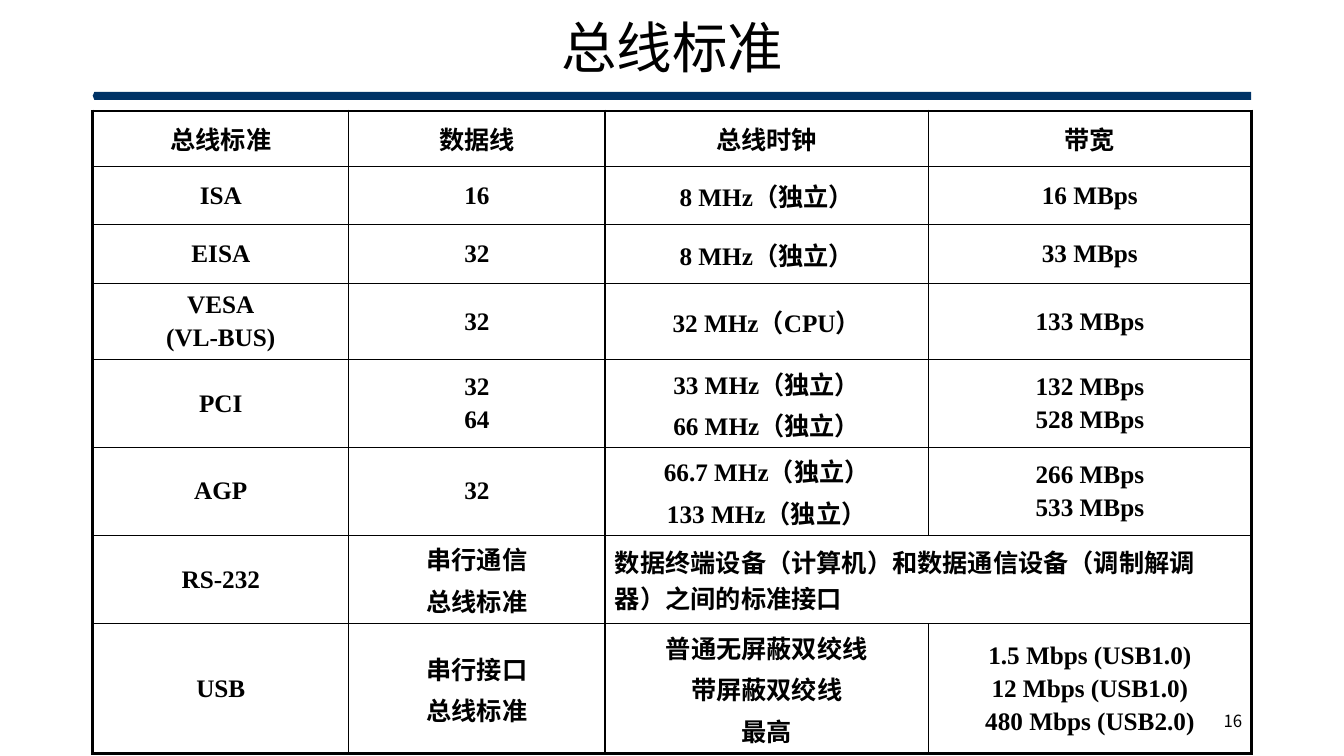
from lxml import etree
from pptx import Presentation
from pptx import util as u
from pptx.dml.color import RGBColor
from pptx.enum import shapes, text
from pptx.oxml.ns import qn

BLACK, NAVY = "000000", "003366"
SANS, SERIF = "Noto Sans CJK SC", "Times New Roman"
LEFT, WIDTH = 0.92, 11.49
COLUMN_WIDTHS = [2.54, 2.54, 3.21, 3.2]
ROW_HEIGHTS = [0.55, 0.58, 0.58, 0.76, 0.87, 0.87, 0.88, 1.29]
BUSES = [
    ["总线标准", "数据线", "总线时钟", "带宽"],
    ["ISA", "16", "8 MHz（独立）", "16 MBps"],
    ["EISA", "32", "8 MHz（独立）", "33 MBps"],
    ["VESA\n(VL-BUS)", "32", "32 MHz（CPU）", "133 MBps"],
    ["PCI", "32\n64", "33 MHz（独立）\n66 MHz（独立）", "132 MBps\n528 MBps"],
    ["AGP", "32", "66.7 MHz（独立）\n133 MHz（独立）", "266 MBps\n533 MBps"],
    ["RS-232", "串行通信\n总线标准",
     "数据终端设备（计算机）和数据通信设备（调制解调器）之间的标准接口"],
    ["USB", "串行接口\n总线标准", "普通无屏蔽双绞线\n带屏蔽双绞线\n最高",
     "1.5 Mbps (USB1.0)\n12 Mbps (USB1.0)\n480 Mbps (USB2.0)"],
]


def color(value):
    """Turn a hex string into a colour."""
    return RGBColor.from_string(value)


def format_text(text_frame, size, font, align, bold=False):
    """Style every paragraph and run of a text frame."""
    for index, paragraph in enumerate(text_frame.paragraphs):
        paragraph.alignment = align
        if index:
            paragraph.space_before = u.Pt(3.6)
        for run in paragraph.runs:
            run.font.size = u.Pt(size)
            run.font.bold = bold
            run.font.name = font
            run.font.color.rgb = color(BLACK)
            etree.SubElement(run.font._element, qn("a:ea"), typeface=SANS)


def add_text(slide, box, words, size, align):
    """Add a vertically centred text box."""
    text_frame = slide.shapes.add_textbox(*map(u.Inches, box)).text_frame
    text_frame.word_wrap = True
    text_frame.vertical_anchor = text.MSO_ANCHOR.MIDDLE
    text_frame.text = words
    format_text(text_frame, size, SANS, align)
    return text_frame


def add_title_bar(slide):
    """Add the pointed bar below the title."""
    bar = slide.shapes.add_shape(shapes.MSO_SHAPE.PENTAGON, u.Inches(LEFT),
                                 u.Inches(0.91), u.Inches(WIDTH), u.Inches(0.08))
    bar.adjustments[0] = 0.2
    bar.rotation = 180
    bar.shadow.inherit = False
    bar.fill.solid()
    bar.fill.fore_color.rgb = color(NAVY)
    bar.line.fill.background()


def set_borders(cell, outer_sides):
    """Draw thick borders on the outer sides and thin ones elsewhere."""
    properties = cell._tc.get_or_add_tcPr()
    for side in "LRTB":
        width = u.Pt(2.25 if side in outer_sides else 1)
        line = etree.SubElement(properties, qn(f"a:ln{side}"), w=str(int(width)))
        fill = etree.SubElement(line, qn("a:solidFill"))
        etree.SubElement(fill, qn("a:srgbClr"), val=BLACK)


def add_bus_table(slide):
    """Add the table of bus standards."""
    rows, columns = len(BUSES), len(COLUMN_WIDTHS)
    table = slide.shapes.add_table(rows, columns, u.Inches(LEFT), u.Inches(1.1),
                                   u.Inches(WIDTH), u.Inches(sum(ROW_HEIGHTS))).table
    table.first_row = table.horz_banding = False
    for column, width in zip(table.columns, COLUMN_WIDTHS):
        column.width = u.Inches(width)
    for row, height in zip(table.rows, ROW_HEIGHTS):
        row.height = u.Inches(height)
    for r, entries in enumerate(BUSES):
        for c, words in enumerate(entries):
            cell = table.cell(r, c)
            last = c == len(entries) - 1
            spans = last and c < columns - 1
            if spans:
                cell.merge(table.cell(r, columns - 1))
            cell.text_frame.text = words
            cell.vertical_anchor = text.MSO_ANCHOR.MIDDLE
            align = text.PP_ALIGN.LEFT if spans else text.PP_ALIGN.CENTER
            format_text(cell.text_frame, 18, SERIF, align, bold=True)
            outer = {"L": c == 0, "R": last, "T": r == 0, "B": r == rows - 1}
            set_borders(cell, [side for side in outer if outer[side]])
            cell.fill.background()


def main():
    """Build the slide and save it."""
    presentation = Presentation()
    presentation.slide_width = u.Inches(13.33)
    presentation.slide_height = u.Inches(7.5)
    slide = presentation.slides.add_slide(presentation.slide_layouts[6])
    add_title_bar(slide)
    title = add_text(slide, (LEFT, 0.17, WIDTH, 0.66), "总线标准", 39.6,
                     text.PP_ALIGN.CENTER)
    title.paragraphs[0].line_spacing = 0.9
    add_bus_table(slide)
    add_text(slide, (9.42, 6.95, 3, 0.4), "16", 12, text.PP_ALIGN.RIGHT)
    presentation.save("out.pptx")


if __name__ == "__main__":
    main()
